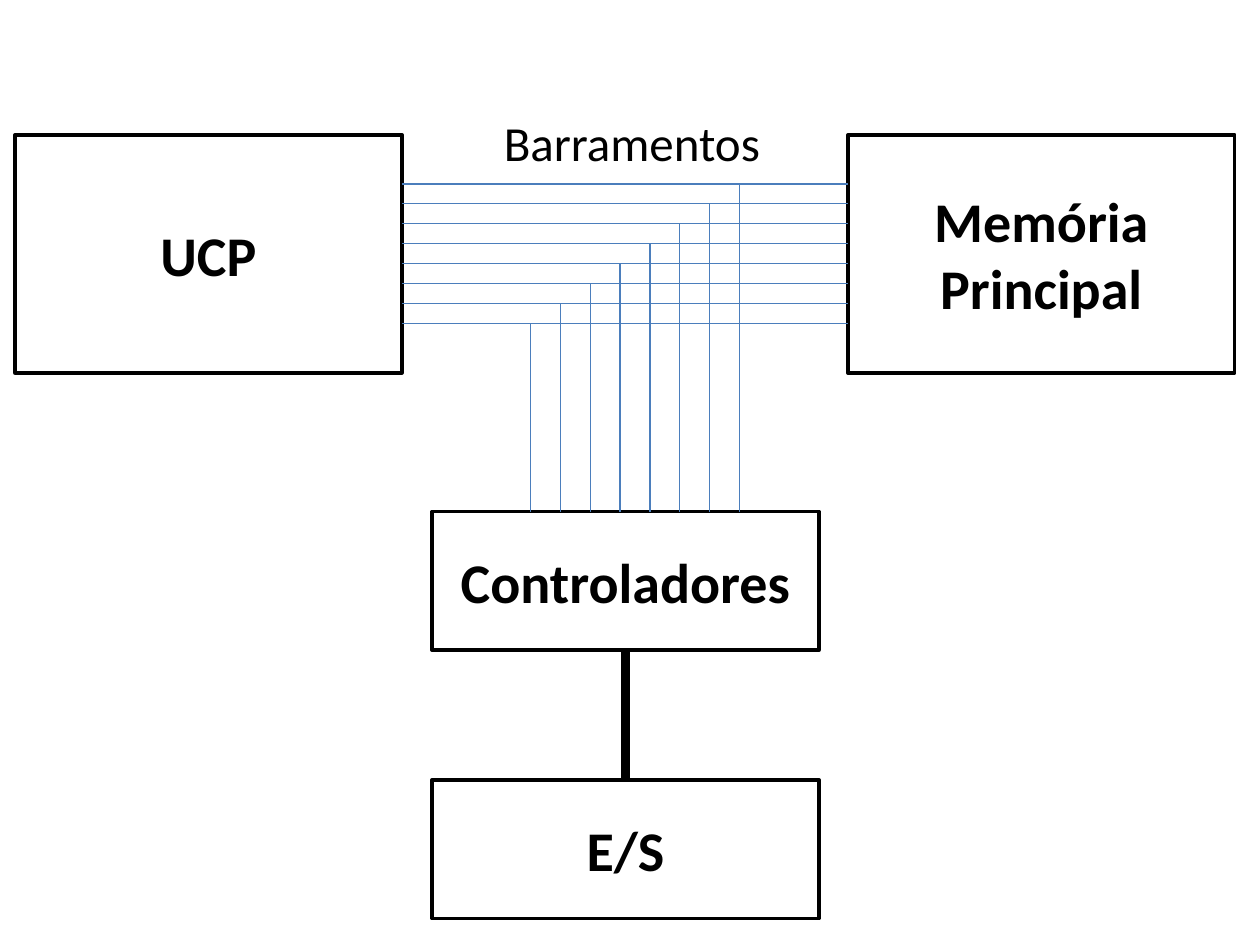
from pptx import Presentation
from pptx.dml.color import RGBColor
from pptx.enum.shapes import MSO_CONNECTOR as Link, MSO_SHAPE as Shape
from pptx.enum.text import MSO_ANCHOR as Anchor, MSO_AUTO_SIZE as Auto, PP_ALIGN as Align
from pptx.oxml.ns import qn
from pptx.util import Inches, Pt
from lxml.etree import SubElement

COLS, ROWS = 100, 75
BLACK, WHITE, BLUE = "000000", "FFFFFF", "4B7EBC"


def tint(code):
    """Turn a hex string into a colour."""
    return RGBColor.from_string(code)


def apply(item, values):
    """Set each attribute of item from a dict."""
    for name, value in values.items():
        setattr(item, name, value)


class Board:
    """The slide in hand and its style."""

    label = {"name": "Calibri", "size": Pt(28), "bold": False}
    head = {"name": "Calibri", "size": Pt(32), "bold": True}
    frame = {"word_wrap": True, "vertical_anchor": Anchor.MIDDLE}
    loose = {"word_wrap": False, "auto_size": Auto.SHAPE_TO_FIT_TEXT}

    def __init__(self, deck):
        """Add a blank slide and size the grid."""
        self.slide = deck.slides.add_slide(deck.slide_layouts[6])
        self.col = deck.slide_width / COLS
        self.row = deck.slide_height / ROWS

    def grid(self, *spans):
        """Turn column, row pairs into lengths."""
        units = (self.col, self.row) * 2
        return [round(span * unit) for span, unit in zip(spans, units)]

    def letter(self, shape, text, frame, font, align):
        """Put formatted text in a shape."""
        body = shape.text_frame
        apply(body, frame)
        para = body.paragraphs[0]
        para.alignment = align
        run = para.add_run()
        run.text = text
        apply(run.font, font)
        run.font.color.rgb = tint(BLACK)

    def box(self, text, *place):
        """Draw an outlined box with a bold centred name."""
        shape = self.slide.shapes.add_shape(Shape.RECTANGLE, *self.grid(*place))
        shape.shadow.inherit = False
        shape.fill.solid()
        shape.fill.fore_color.rgb = tint(WHITE)
        shape.line.color.rgb = tint(BLACK)
        shape.line.width = Pt(2)
        self.letter(shape, text, self.frame, self.head, Align.CENTER)

    def note(self, text, *place):
        """Place a plain label."""
        shape = self.slide.shapes.add_textbox(*self.grid(*place))
        self.letter(shape, text, self.loose, self.label, Align.LEFT)

    def wire(self, *ends, color=BLUE, width=0.75):
        """Draw a straight line between two grid points."""
        line = self.slide.shapes.add_connector(Link.STRAIGHT, *self.grid(*ends))
        line.line.color.rgb = tint(color)
        line.line.width = Pt(width)
        SubElement(line._element.spPr, qn("a:effectLst"))


deck = Presentation()
apply(deck, {"slide_width": Inches(10), "slide_height": Inches(7.5)})
board = Board(deck)

WIDE, TALL, LOW = 30.7, 18.9, 11
CPU, MEM, MID = 1.2, 67.3, 34.3
TOP, CTRL, PORT = 10.7, 40.6, 61.9

for name, left, top, high in (
    ("UCP", CPU, TOP, TALL),
    ("Memória Principal", MEM, TOP, TALL),
    ("Controladores", MID, CTRL, LOW),
    ("E/S", MID, PORT, LOW),
):
    board.box(name, left, top, WIDE, high)

WIRES, FIRST, STEP = 8, 14.6, 1.58
LAST, GAP = 58.7, 2.37
for i in range(WIRES):
    level = FIRST + i * STEP
    drop = LAST - i * GAP
    board.wire(CPU + WIDE, level, MEM, level)
    board.wire(drop, level, drop, CTRL)

axis = MID + WIDE / 2
board.wire(axis, CTRL + LOW, axis, PORT, color=BLACK, width=5)
board.note("Barramentos", 39, 8.4, 22.6, 5.7)

deck.save("out.pptx")
